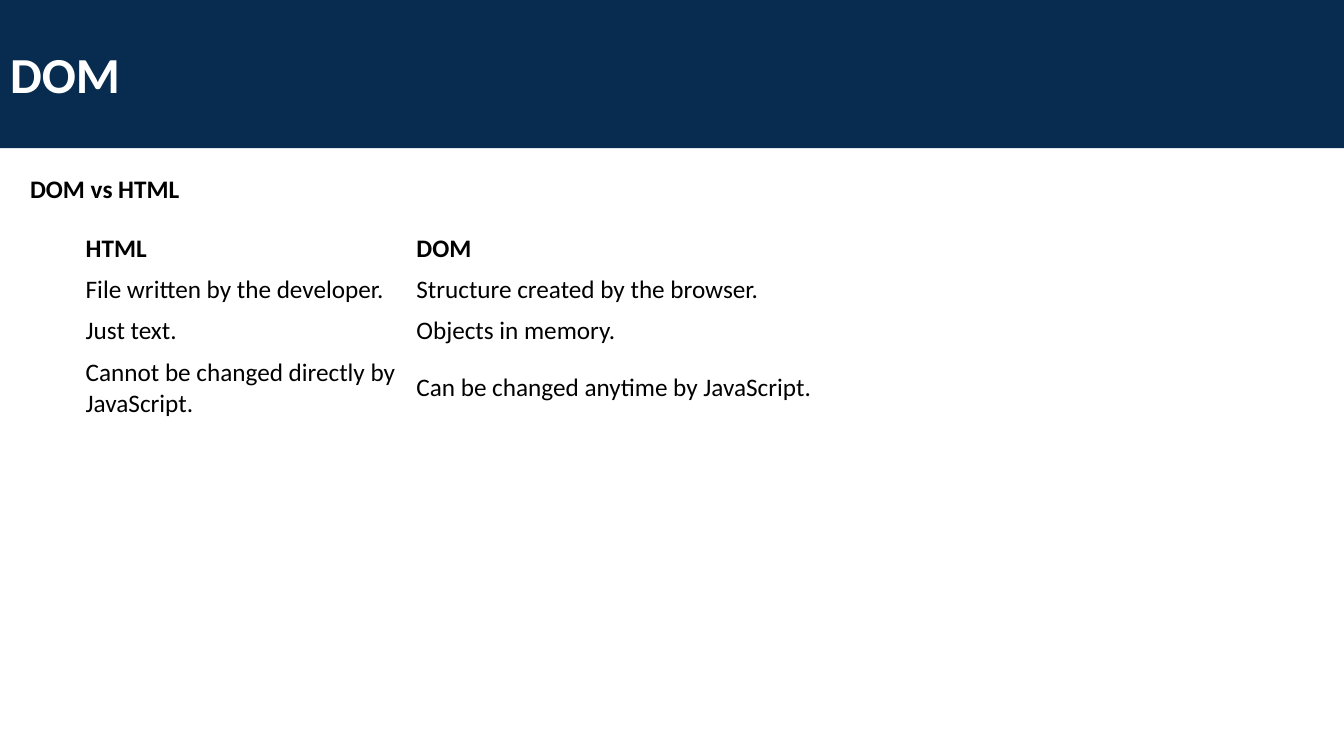
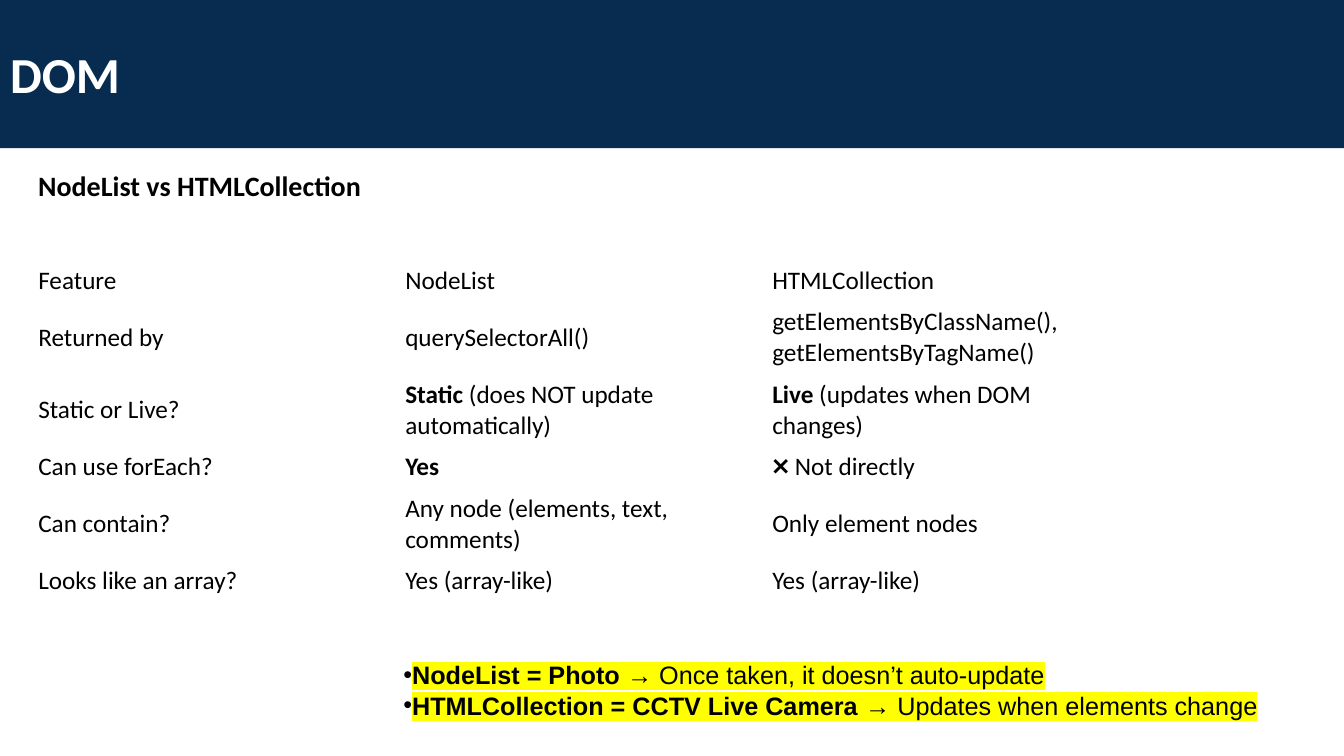
from dataclasses import dataclass

from lxml import etree
from pptx import Presentation
from pptx.dml.color import RGBColor
from pptx.enum import text
from pptx.oxml import ns
from pptx.util import Inches, Pt

NAVY = RGBColor(0x07, 0x2C, 0x4F)
WHITE = RGBColor(0xFF, 0xFF, 0xFF)
BLACK = RGBColor(0x00, 0x00, 0x00)
YELLOW = RGBColor(0xFF, 0xFF, 0x00)

PAGE_WIDTH, PAGE_HEIGHT = 13.33, 7.5
TITLE_AND_BODY, TITLE_ONLY = 1, 5
ONE_LINE, TWO_LINES = 0.41, 0.72


@dataclass(frozen=True)
class Area:
    left: float
    top: float
    width: float
    height: float

    def lengths(self):
        return tuple(map(Inches, (self.left, self.top, self.width, self.height)))


@dataclass(frozen=True)
class Style:
    size: float
    color: RGBColor = BLACK
    bold: bool = False
    name: str = "Calibri"


@dataclass(frozen=True)
class Span:
    words: str
    bold: bool = False


@dataclass(frozen=True)
class Row:
    height: float
    cells: tuple[tuple[Span, ...], ...]


BAND = Area(0, -0.02, PAGE_WIDTH, 1.49)
TITLE = Style(36, WHITE, True)
CELL = Style(18)
NOTE = Style(18, name="Arial")


def row(height: float, *cells, bold: bool = False) -> Row:
    return Row(height, tuple(
        (Span(cell, bold),) if isinstance(cell, str) else cell for cell in cells))


DOM_ROWS = (
    row(ONE_LINE, "HTML", "DOM", bold=True),
    row(ONE_LINE, "File written by the developer.", "Structure created by the browser."),
    row(ONE_LINE, "Just text.", "Objects in memory."),
    row(TWO_LINES, "Cannot be changed directly by JavaScript.",
        "Can be changed anytime by JavaScript."),
)
COLLECTION_ROWS = (
    row(ONE_LINE, "Feature", "NodeList", "HTMLCollection"),
    row(TWO_LINES, "Returned by", "querySelectorAll()",
        "getElementsByClassName(), getElementsByTagName()"),
    row(TWO_LINES, "Static or Live?",
        (Span("Static", True), Span(" (does NOT update automatically)")),
        (Span("Live", True), Span(" (updates when DOM changes)"))),
    row(ONE_LINE, "Can use forEach?", (Span("Yes", True),), "❌ Not directly"),
    row(TWO_LINES, "Can contain?", "Any node (elements, text, comments)",
        "Only element nodes"),
    row(ONE_LINE, "Looks like an array?", "Yes (array-like)", "Yes (array-like)"),
)
NOTES = (
    (Span("NodeList = Photo", True), Span(" → Once taken, it doesn’t auto-update")),
    (Span("HTMLCollection = CCTV Live Camera", True),
     Span(" → Updates when elements change")),
)


def style_paragraph(para, style: Style) -> None:
    para.alignment = text.PP_ALIGN.LEFT
    para.font.size = Pt(style.size)
    para.font.name = style.name
    para.font.bold = style.bold
    para.font.color.rgb = style.color


def write_spans(para, spans: tuple[Span, ...], style: Style) -> None:
    style_paragraph(para, style)
    for span in spans:
        run = para.add_run()
        run.text = span.words
        if span.bold != style.bold:
            run.font.bold = span.bold


def highlight(run, color: RGBColor) -> None:
    properties = run.font._element
    mark = etree.SubElement(properties, ns.qn("a:highlight"))
    etree.SubElement(mark, ns.qn("a:srgbClr"), val=str(color))


def place(shape, area: Area) -> None:
    shape.left, shape.top, shape.width, shape.height = area.lengths()
    frame = shape.text_frame
    frame.word_wrap = True
    frame.auto_size = text.MSO_AUTO_SIZE.NONE
    frame.vertical_anchor = text.MSO_ANCHOR.MIDDLE


def add_page(deck, layout: int, title: str):
    page = deck.slides.add_slide(deck.slide_layouts[layout])
    band = page.shapes.title
    place(band, BAND)
    band.fill.solid()
    band.fill.fore_color.rgb = NAVY
    write_spans(band.text_frame.paragraphs[0], (Span(title, True),), TITLE)
    return page


def add_heading(page, area: Area, words: str, size: float) -> None:
    frame = page.shapes.add_textbox(*area.lengths()).text_frame
    frame.word_wrap = True
    write_spans(frame.paragraphs[0], (Span(words, True),), Style(size, bold=True))


def add_grid(page, left: float, top: float, widths: tuple[float, ...],
             rows: tuple[Row, ...]) -> None:
    area = Area(left, top, sum(widths), sum(line.height for line in rows))
    table = page.shapes.add_table(len(rows), len(widths), *area.lengths()).table
    table.first_row = table.horz_banding = False
    for column, width in zip(table.columns, widths):
        column.width = Inches(width)
    for index, line in enumerate(rows):
        table.rows[index].height = Inches(line.height)
        for cell, spans in zip(table.rows[index].cells, line.cells):
            cell.fill.background()
            cell.vertical_anchor = text.MSO_ANCHOR.MIDDLE
            write_spans(cell.text_frame.paragraphs[0], spans, CELL)


def fill_notes(page, area: Area, notes: tuple[tuple[Span, ...], ...]) -> None:
    body = page.placeholders[1]
    place(body, area)
    frame = body.text_frame
    for index, spans in enumerate(notes):
        para = frame.add_paragraph() if index else frame.paragraphs[0]
        write_spans(para, spans, NOTE)
        para.space_before = Pt(0)
        properties = para._p.get_or_add_pPr()
        properties.set("marL", "0")
        properties.set("indent", "0")
        for run in para.runs:
            highlight(run, YELLOW)


def main() -> None:
    deck = Presentation()
    deck.slide_width = Inches(PAGE_WIDTH)
    deck.slide_height = Inches(PAGE_HEIGHT)

    page = add_page(deck, TITLE_ONLY, "DOM")
    add_heading(page, Area(0.2, 1.67, 6.77, 0.4), "DOM vs HTML", 18)
    add_grid(page, 0.75, 2.26, (3.28, 8.36), DOM_ROWS)

    page = add_page(deck, TITLE_AND_BODY, "DOM")
    add_grid(page, 0.28, 2.58, (3.64,) * 3, COLLECTION_ROWS)
    add_heading(page, Area(0.28, 1.62, 3.94, 0.44), "NodeList vs HTMLCollection", 20)
    fill_notes(page, Area(3.9, 6.49, 8.75, 0.71), NOTES)

    deck.save("out.pptx")


if __name__ == "__main__":
    main()
